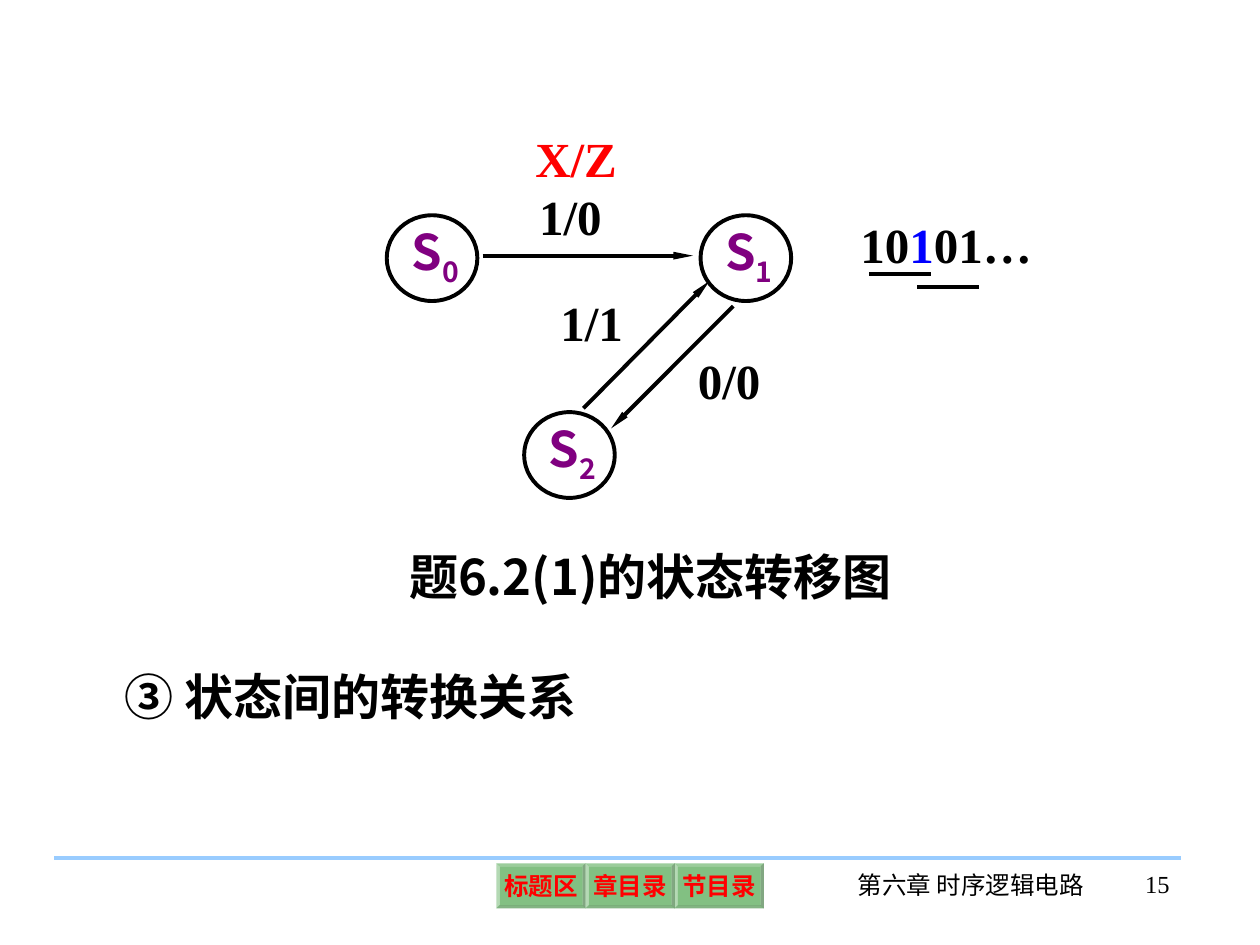
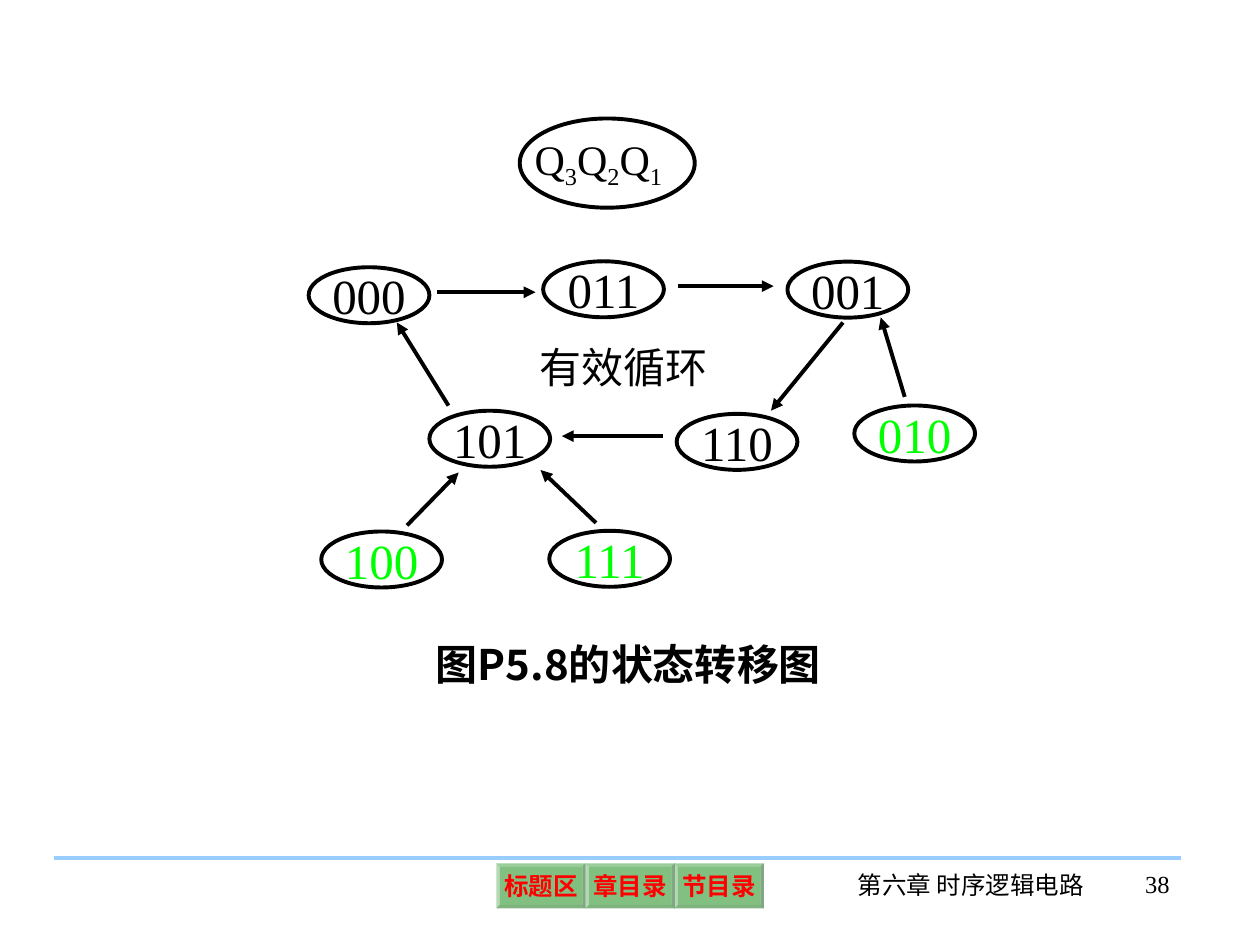
import dataclasses

import pptx
import pptx.dml.color
import pptx.enum.shapes
import pptx.enum.text
import pptx.oxml
import pptx.oxml.ns
import pptx.util

Pt = pptx.util.Pt
SHAPE = pptx.enum.shapes.MSO_SHAPE
ALIGN = pptx.enum.text.PP_ALIGN
MIDDLE = pptx.enum.text.MSO_ANCHOR.MIDDLE


@dataclasses.dataclass(frozen=True)
class Theme:
    ink: str = "000000"
    red: str = "FF0000"
    blue: str = "0000FF"
    purple: str = "800080"
    lime: str = "00FF00"
    green: str = "008000"
    sky: str = "99CCFF"
    serif: str = "Times New Roman"
    sans: str = "Noto Sans CJK SC"
    large: int = 28
    mid: int = 24
    small: int = 14
    stroke: float = 2.25


T = Theme()
PAD = (7.2, 3.6, 7.2, 3.6)
SUB = {"base": -25}


def rgb(code):
    return pptx.dml.color.RGBColor.from_string(code)


def tag(parent, name, **attrs):
    node = pptx.oxml.parse_xml(f"<a:{name} {pptx.oxml.ns.nsdecls('a')}/>")
    for key, value in attrs.items():
        node.set(key, value)
    parent.append(node)


def shift(box, x, y):
    return box[0] + x, box[1] + y


def write(frame, runs, pad=PAD, wrap=True, align=ALIGN.LEFT, **base):
    """Fill a frame with (text, format) runs; each format overrides the base."""
    sides = ("left", "top", "right", "bottom")
    look = {f"margin_{side}": Pt(gap) for side, gap in zip(sides, pad)}
    for key, value in {**look, "word_wrap": wrap}.items():
        setattr(frame, key, value)
    line = frame.paragraphs[0]
    line.alignment = align
    if isinstance(runs, str):
        runs = [(runs, {})]
    for text, extra in runs:
        style = {"size": T.large, "name": T.serif, "bold": False,
                 "color": T.ink, "base": 0, **base, **extra}
        run = line.add_run()
        run.text = text
        run.font.color.rgb = rgb(style["color"])
        fonts = {"size": Pt(style["size"]), "name": style["name"], "bold": style["bold"]}
        for key, value in fonts.items():
            setattr(run.font, key, value)
        props = run.font._element
        tag(props, "ea", typeface=T.sans)
        if style["base"]:
            props.set("baseline", str(style["base"] * 1000))


def label(slide, spot, area, runs, **style):
    shape = slide.shapes.add_textbox(*map(Pt, (*spot, *area)))
    write(shape.text_frame, runs, **style)


def stroke(slide, start, end, color=T.ink, head=None):
    """Draw a line; head is the (width, length) of an arrowhead at its end."""
    kind = pptx.enum.shapes.MSO_CONNECTOR.STRAIGHT
    line = slide.shapes.add_connector(kind, *map(Pt, (*start, *end)))
    line.line.color.rgb = rgb(color)
    line.line.width = Pt(T.stroke)
    props = line._element.spPr
    if head:
        outline = props.find(pptx.oxml.ns.qn("a:ln"))
        tag(outline, "tailEnd", type="triangle", w=head[0], len=head[1])
    tag(props, "effectLst")


def oval(slide, spot, area):
    shape = slide.shapes.add_shape(SHAPE.OVAL, *map(Pt, (*spot, *area)))
    shape.shadow.inherit = False
    shape.fill.background()
    shape.line.color.rgb = rgb(T.ink)
    shape.line.width = Pt(T.stroke)
    return shape


def button(slide, spot, text):
    shape = slide.shapes.add_shape(SHAPE.BEVEL, *map(Pt, (*spot, 51, 25.7)))
    shape.adjustments[0] = 0.07
    shape.shadow.inherit = False
    shape.line.fill.background()
    shape.fill.solid()
    shape.fill.fore_color.rgb = rgb(T.green)
    fill = shape._element.spPr.find(pptx.oxml.ns.qn("a:solidFill"))
    tag(fill[0], "alpha", val="49000")
    frame = shape.text_frame
    frame.vertical_anchor = MIDDLE
    write(frame, text, pad=[2.9] * 4, wrap=False, align=ALIGN.CENTER,
          size=T.small, color=T.red, bold=True)


def footer(slide, box, page):
    stroke(slide, box[:2], shift(box, box[2], 0), T.sky)
    for step, text in enumerate(("标题区", "章目录", "节目录")):
        button(slide, shift(box, 252.7 + 50.9 * step, 3.1), text)
    label(slide, shift(box, 448.5, 3.4), (150.5, 36), "第六章 时序逻辑电路",
          size=T.small, align=ALIGN.CENTER)
    label(slide, shift(box, box[2] - 61.4, 3), (61.9, 36), str(page),
          size=T.small, align=ALIGN.RIGHT)


def detect(slide, box):
    """Three-state graph with its input/output labels."""
    for x, y, index in ((78.5, 165.5, "2"), (179.3, 53, "1"), (0, 53, "0")):
        spot = shift(box, x, y)
        oval(slide, spot, (51.8, 49))
        label(slide, shift(spot, 14.2, 3.6), (28.8, 38), [("S", {}), (index, SUB)],
              pad=[0] * 4, name=T.sans, color=T.purple, bold=True)
    arrows = (
        ((54.8, 76.1), (175, 76.1)),
        ((198, 105), (128.2, 174.8)),
        ((112.4, 163.3), (184.4, 90.6)),
    )
    for start, end in arrows:
        stroke(slide, shift(box, *start), shift(box, *end), head=("sm", "lg"))
    marks = (
        (80, 33, "1/0", T.ink),
        (170.7, 126.6, "0/0", T.ink),
        (92.2, 93.4, "1/1", T.ink),
        (77.8, 0, "X/Z", T.red),
    )
    for x, y, text, color in marks:
        label(slide, shift(box, x, y), (69, 41), text, color=color, bold=True)


def stream(slide, box):
    """Input bits, with each overlapping match underlined."""
    runs = [("10", {}), ("1", {"color": T.blue}), ("01…", {})]
    label(slide, box[:2], box[2:], runs, bold=True)
    for x, y in ((12.2, 38), (39.6, 45.3)):
        stroke(slide, shift(box, x, y), shift(box, x + 35.2, y))


def cycle(slide, box):
    """Counter states: the valid loop, and the stray states leading into it."""
    oval(slide, shift(box, 120.6, 0), (100, 51))
    bits = [run for index in "321" for run in (("Q", {}), (index, SUB))]
    label(slide, shift(box, 122, 5), (95.8, 40), bits, size=T.mid)
    arrows = (
        ((73.4, 99.3), (129.6, 99.3)),
        ((211, 95.8), (265.7, 95.8)),
        ((305.3, 116.6), (264.2, 167)),
        ((202.3, 181.5), (144.7, 181.5)),
        ((56.2, 232.5), (85.7, 202.3)),
        ((79.9, 164.1), (50.4, 116.6)),
        ((164.2, 231.1), (132.5, 200.9)),
        ((340.6, 159.1), (326.9, 113.7)),
    )
    for start, end in arrows:
        stroke(slide, shift(box, *start), shift(box, *end), head=("med", "med"))
    label(slide, shift(box, 124.6, 123.8), (111, 36), "有效循环", size=T.mid)
    loop = {"000": (0, 85), "011": (134, 81.6), "001": (273.6, 81.8),
            "110": (210.3, 168.8), "101": (69, 167)}
    stray = {"010": (311.8, 164), "100": (7.2, 236), "111": (137.5, 235.6)}
    for states, color in ((loop, T.ink), (stray, T.lime)):
        for code, spot in states.items():
            shape = oval(slide, shift(box, *spot), (69, 32))
            shape.text_frame.vertical_anchor = MIDDLE
            write(shape.text_frame, code, wrap=False, align=ALIGN.CENTER, color=color)


def blank(deck, page):
    slide = deck.slides.add_slide(deck.slide_layouts[6])
    footer(slide, (31, 490.2, 644, 40), page)
    return slide


def main():
    deck = pptx.Presentation()
    deck.slide_width, deck.slide_height = Pt(720), Pt(540)
    head = {"name": T.sans, "bold": True}

    slide = blank(deck, 15)
    detect(slide, (221, 70, 231, 215))
    stream(slide, (484.6, 118.8, 157, 41))
    label(slide, (226.8, 308.9), (342.7, 41), "题6.2(1)的状态转移图", **head)
    label(slide, (64.1, 377.3), (321.8, 41), "③ 状态间的转换关系", **head)

    slide = blank(deck, 38)
    cycle(slide, (176.4, 67.7, 381, 268))
    runs = [("图P5.8的", {}), ("状态转移图", {"name": T.serif})]
    label(slide, (241.9, 361.4), (248.4, 36), runs, size=T.mid, **head)

    deck.save("out.pptx")


if __name__ == "__main__":
    main()
